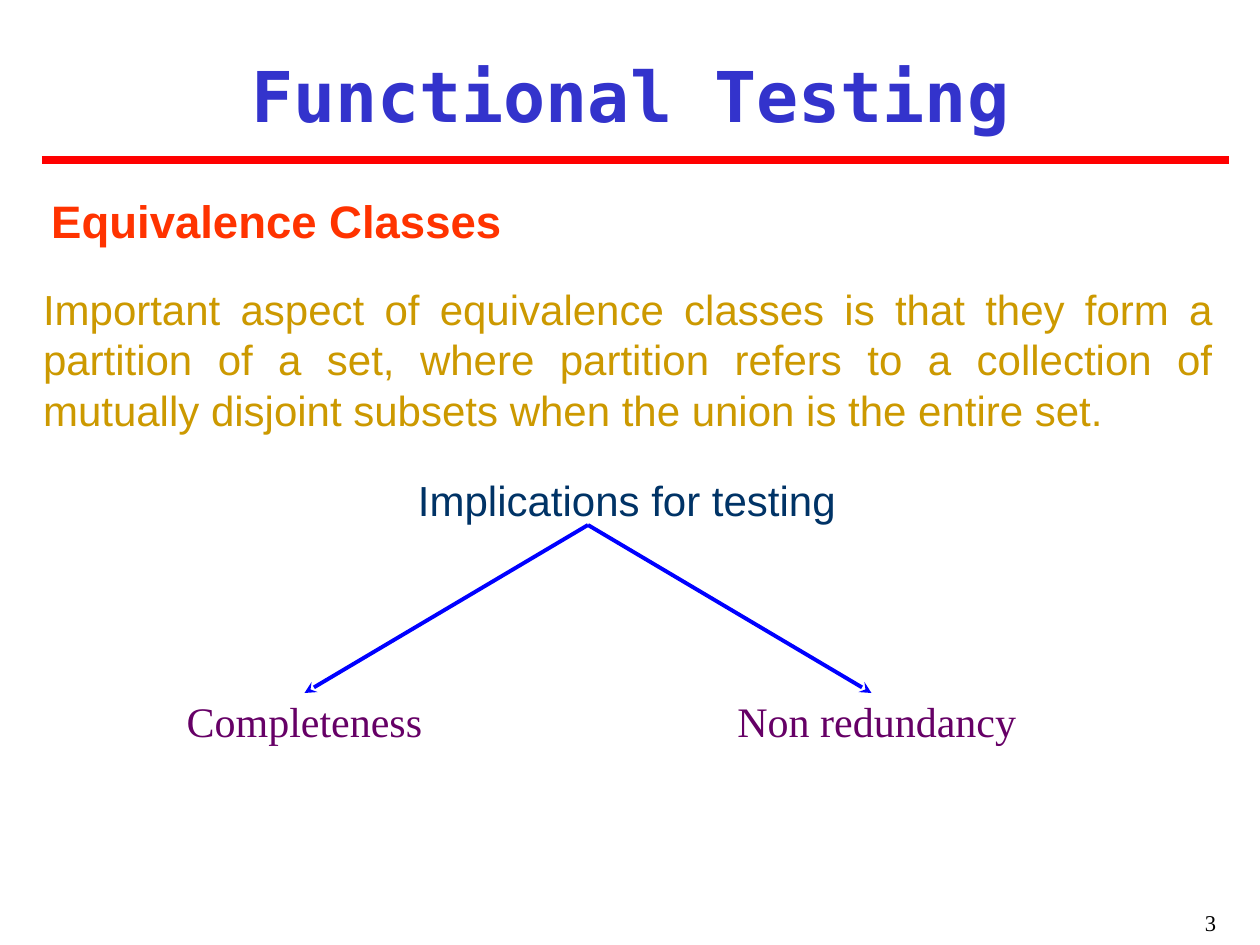
from dataclasses import dataclass

from lxml.etree import SubElement
from pptx import Presentation
from pptx.dml.color import RGBColor
from pptx.enum.shapes import MSO_CONNECTOR
from pptx.enum.text import MSO_ANCHOR, PP_ALIGN
from pptx.oxml.ns import qn
from pptx.util import Inches, Pt


@dataclass(frozen=True)
class Style:
    font: str
    size: float
    color: str
    bold: bool = False


@dataclass(frozen=True)
class Theme:
    title: Style = Style("DejaVu Sans Mono", 40, "3333CC", True)
    head: Style = Style("Arial", 26, "FF3300", True)
    body: Style = Style("Arial", 24, "CC9900")
    root: Style = Style("Arial", 24, "003366")
    leaf: Style = Style("Times New Roman", 24, "660066")
    page: Style = Style("Times New Roman", 12.9, "000000")
    rule: str = "FF0000"
    arrow: str = "0000FF"


THEME = Theme()
WIDE, HIGH = 10, 7.5
COLS, ROWS = 120, 90


def across(cols):
    """Turn grid columns into a length."""
    return Inches(cols * WIDE / COLS)


def down(rows):
    """Turn grid rows into a length."""
    return Inches(rows * HIGH / ROWS)


def write(slide, box, text, style, align=PP_ALIGN.CENTER,
          anchor=MSO_ANCHOR.TOP, pad=(0, 0)):
    """Place one styled paragraph in a grid box."""
    left, top, width, height = box
    shape = slide.shapes.add_textbox(
        across(left), down(top), across(width), down(height))
    frame = shape.text_frame
    frame.word_wrap = True
    frame.vertical_anchor = anchor
    frame.margin_left = frame.margin_right = Inches(pad[0])
    frame.margin_top = frame.margin_bottom = Inches(pad[1])
    frame.text = text
    para = frame.paragraphs[0]
    para.alignment = align
    font = para.runs[0].font
    font.name, font.size, font.bold = style.font, Pt(style.size), style.bold
    font.color.rgb = RGBColor.from_string(style.color)


def stroke(slide, start, end, color, width, tip=False):
    """Draw a line between two grid points, with a tip if asked."""
    line = slide.shapes.add_connector(
        MSO_CONNECTOR.STRAIGHT, across(start[0]), down(start[1]),
        across(end[0]), down(end[1]))
    line.line.color.rgb = RGBColor.from_string(color)
    line.line.width = Pt(width)
    if tip:
        SubElement(line.line._get_or_add_ln(), qn("a:tailEnd"), type="stealth")
    SubElement(line._element.spPr, qn("a:effectLst"))


def header(slide, box, text):
    """Place the title with the rule under it."""
    left, top, width, height = box
    write(slide, (left, top, width, height - 1.25), text, THEME.title,
          anchor=MSO_ANCHOR.MIDDLE, pad=(0.02, 0.05))
    base = top + height
    stroke(slide, (left + 1, base), (left + width, base), THEME.rule, 4.5)


def topic(slide, box, head, body):
    """Place the heading with its justified text."""
    left, top, width, height = box
    write(slide, (left - 0.4, top, 60.4, 6.5), head, THEME.head,
          PP_ALIGN.LEFT, pad=(0.1, 0.05))
    write(slide, (left, top + 9.2, width, height - 9.2), body, THEME.body,
          PP_ALIGN.JUSTIFY)


def tree(slide, box, root, leaves):
    """Place a root label with an arrow to each leaf label."""
    left, top, width, height = box
    line = 4.8
    write(slide, (left, top, width, line), root, THEME.root)
    start = (left + 52, top + line)
    base = top + height - line
    for text, shift, nudge, span in leaves:
        tip = start[0] + shift
        stroke(slide, start, (tip, base - 0.2), THEME.arrow, 2.25, True)
        write(slide, (tip + nudge - span / 2, base, span, line), text,
              THEME.leaf, anchor=MSO_ANCHOR.MIDDLE)


def footer(slide, box, text):
    """Place the page number."""
    write(slide, box, text, THEME.page, PP_ALIGN.RIGHT, pad=(0.1, 0.05))


def main():
    """Build and save the slide."""
    deck = Presentation()
    deck.slide_width, deck.slide_height = Inches(WIDE), Inches(HIGH)
    slide = deck.slides.add_slide(deck.slide_layouts[6])
    header(slide, (3, 4, 114, 11.25), "Functional Testing")
    topic(slide, (4.1, 17.8, 111.4, 23.6), "Equivalence Classes",
          "Important aspect of equivalence classes is that they form a "
          "partition of a set, where partition refers to a collection of "
          "mutually disjoint subsets when the union is the entire set.")
    tree(slide, (4, 45.2, 111.4, 25.8), "Implications for testing",
         [("Completeness", -27, 0, 24), ("Non redundancy", 27, 0.5, 41)])
    footer(slide, (92, 86, 25, 4), "3")
    deck.save("out.pptx")


if __name__ == "__main__":
    main()
